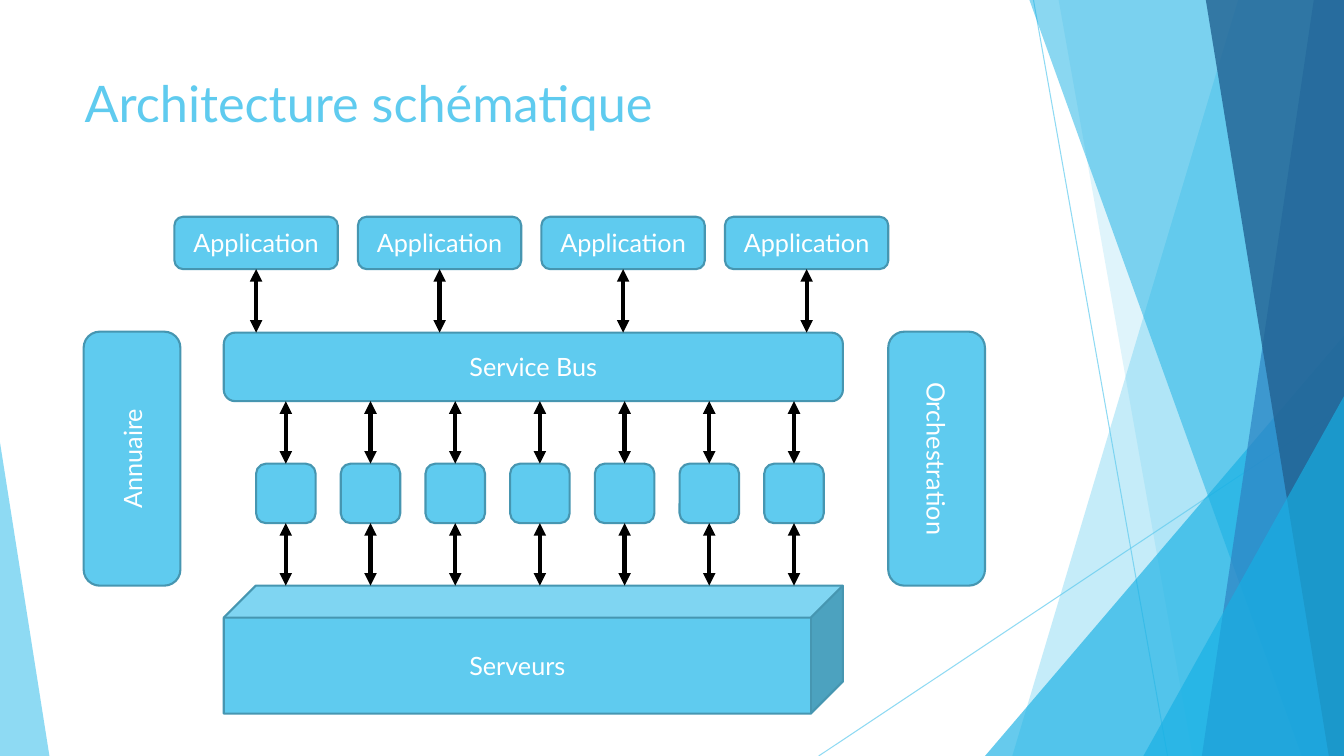
from lxml.etree import SubElement
from pptx import Presentation
from pptx.dml.color import RGBColor
from pptx.enum.shapes import MSO_CONNECTOR, MSO_SHAPE
from pptx.enum.text import MSO_ANCHOR, PP_ALIGN
from pptx.oxml.ns import qn
from pptx.util import Inches, Pt

COLORS = {
    "sky": "5FCBEF",
    "edge": "4696B1",
    "cyan": "17B0E4",
    "blue": "2E83C3",
    "navy": "226292",
    "black": "000000",
    "white": "FFFFFF",
}
WIDTH, HEIGHT = 13.33, 7.5


class SlideBuilder:
    font_name = "Lato"

    def __init__(self, slide):
        self.slide = slide
        self.shapes = slide.shapes

    def color(self, color_format, name, opacity=100):
        color_format.rgb = RGBColor.from_string(COLORS[name])
        if opacity < 100:
            element = color_format._xFill.find(qn("a:srgbClr"))
            SubElement(element, qn("a:alpha"), val=str(opacity * 1000))

    def label(self, shape, text, size, color, align):
        paragraph = shape.text_frame.paragraphs[0]
        paragraph.text = text
        paragraph.alignment = align
        paragraph.font.name = self.font_name
        paragraph.font.size = Pt(size)
        self.color(paragraph.font.color, color)

    def title(self, text, left, top, width, height):
        box = self.shapes.add_textbox(*map(Inches, (left, top, width, height)))
        box.text_frame.word_wrap = True
        box.text_frame.vertical_anchor = MSO_ANCHOR.TOP
        self.label(box, text, 36, "sky", PP_ALIGN.LEFT)

    def decorate(self, shape, color, opacity):
        shape.shadow.inherit = False
        shape.fill.solid()
        self.color(shape.fill.fore_color, color, opacity)
        shape.line.fill.background()

    def band(self, top_left, bottom_left, color, opacity):
        builder = self.shapes.build_freeform(Inches(top_left), 0, 1.0)
        corners = [(WIDTH, 0), (WIDTH, HEIGHT), (bottom_left, HEIGHT)]
        builder.add_line_segments([(Inches(x), Inches(y)) for x, y in corners])
        self.decorate(builder.convert_to_shape(), color, opacity)

    def triangle(self, left, top, width, apex, color, opacity):
        shape = self.shapes.add_shape(
            MSO_SHAPE.ISOSCELES_TRIANGLE,
            *map(Inches, (left, top, width, HEIGHT - top)))
        shape.adjustments[0] = apex
        self.decorate(shape, color, opacity)

    def block(self, left, top, width, height, text="",
              kind=MSO_SHAPE.ROUNDED_RECTANGLE, direction=None):
        shape = self.shapes.add_shape(
            kind, *map(Inches, (left, top, width, height)))
        shape.shadow.inherit = False
        shape.fill.solid()
        self.color(shape.fill.fore_color, "sky")
        shape.line.width = Pt(1.5)
        self.color(shape.line.color, "edge")
        if text:
            shape.text_frame.vertical_anchor = MSO_ANCHOR.MIDDLE
            self.label(shape, text, 18, "white", PP_ALIGN.CENTER)
        if direction:
            shape.text_frame._txBody.bodyPr.set("vert", direction)
        return shape

    def line(self, start, end, color, width, opacity=100):
        connector = self.shapes.add_connector(
            MSO_CONNECTOR.STRAIGHT, *map(Inches, start + end))
        connector.line.width = Pt(width)
        self.color(connector.line.color, color, opacity)
        SubElement(connector._element.spPr, qn("a:effectLst"))
        return connector

    def double_arrow(self, x, top, bottom, upper=None, lower=None):
        connector = self.line((x, top), (x, bottom), "black", 3)
        outline = connector.line._get_or_add_ln()
        for end in ("a:headEnd", "a:tailEnd"):
            SubElement(outline, qn(end), type="triangle")
        if upper is not None:
            connector.begin_connect(upper, 2)
        if lower is not None:
            connector.end_connect(lower, 0)


def draw_background(builder):
    builder.line((10.25, 0), (11.58, HEIGHT), "sky", 0.75, 70)
    builder.line((WIDTH, 4.03), (8.12, HEIGHT), "sky", 0.75, 70)
    builder.band(12.28, 10.04, "sky", 36)
    builder.band(10.5, 11.83, "sky", 20)
    builder.triangle(9.77, 3.33, 3.56, 1, "cyan", 66)
    builder.band(10.21, 12.91, "cyan", 50)
    builder.band(13.03, 11.92, "blue", 70)
    builder.band(11.96, 13.18, "navy", 80)
    builder.triangle(11.34, 3.93, 1.99, 1, "cyan", 66)
    builder.triangle(0, 4.39, 0.49, 0, "sky", 70)


def draw_architecture(builder):
    bus_left, bus_width = 2.22, 6.14
    bus_top, bus_bottom = 3.3, 3.98
    application_top, application_width, application_height = 2.15, 1.62, 0.52
    node_top, node_size = 4.6, 0.59
    server_top = 5.81

    builder.block(bus_left, server_top, bus_width, 1.27, "Serveurs",
                  kind=MSO_SHAPE.CUBE)
    builder.block(bus_left, bus_top, bus_width, bus_bottom - bus_top,
                  "Service Bus")

    for index in range(4):
        left = 1.73 + 1.82 * index
        application = builder.block(left, application_top, application_width,
                                    application_height, "Application")
        builder.double_arrow(left + application_width / 2,
                             application_top + application_height, bus_top,
                             upper=application)

    for index in range(7):
        left = 2.54 + 0.84 * index
        center = left + node_size / 2
        node = builder.block(left, node_top, node_size, node_size)
        builder.double_arrow(center, bus_bottom, node_top, lower=node)
        builder.double_arrow(center, node_top + node_size, server_top,
                             upper=node)

    for left, text, direction in ((0.83, "Annuaire", "vert270"),
                                  (8.81, "Orchestration", "vert")):
        builder.block(left, 3.29, 0.96, 2.52, text, direction=direction)


def main():
    presentation = Presentation()
    presentation.slide_width = Inches(WIDTH)
    presentation.slide_height = Inches(HEIGHT)
    slide = presentation.slides.add_slide(presentation.slide_layouts[6])
    builder = SlideBuilder(slide)
    draw_background(builder)
    builder.title("Architecture schématique", 0.74, 0.67, 9.4, 1.44)
    draw_architecture(builder)
    presentation.save("out.pptx")


if __name__ == "__main__":
    main()
